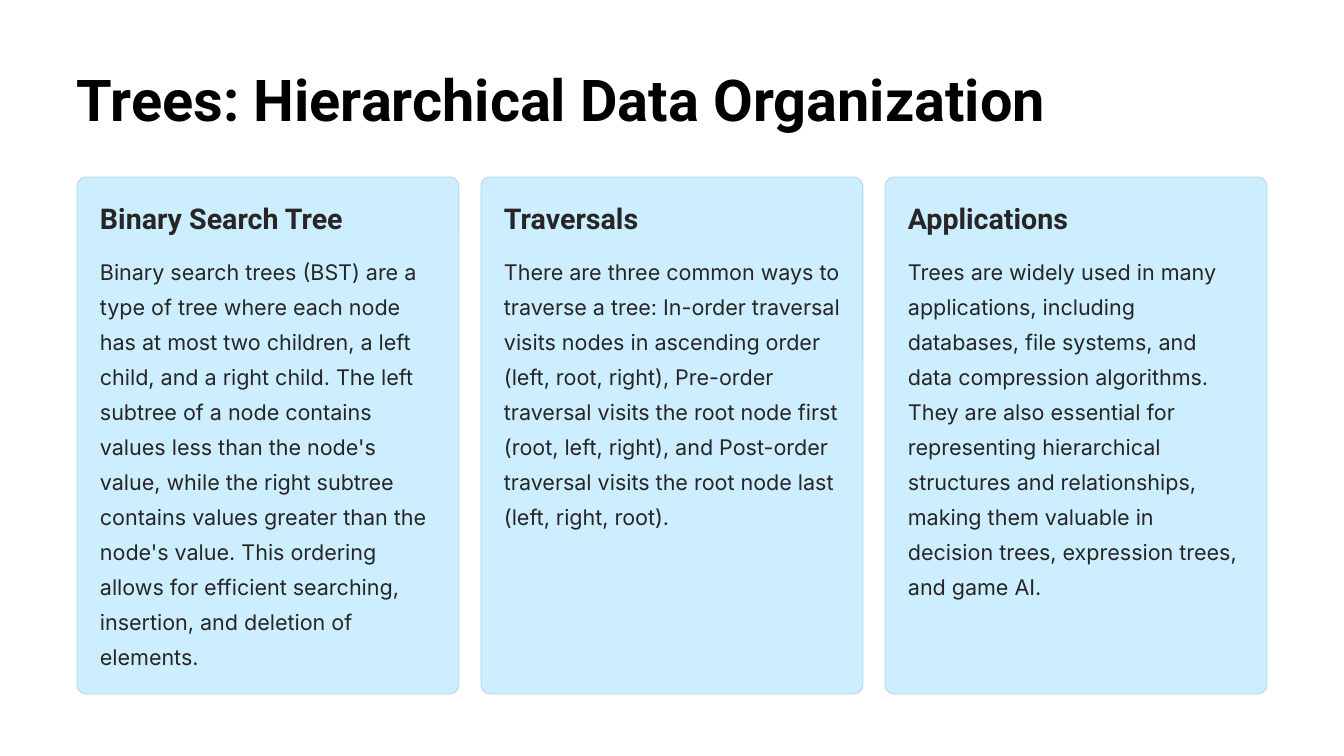
from pptx import Presentation, util as u
from pptx.dml.color import RGBColor
from pptx.enum import shapes, text

CARDS = [
    ("Binary Search Tree",
     "Binary search trees (BST) are a type of tree where each node has at most "
     "two children, a left child, and a right child. The left subtree of a node "
     "contains values less than the node's value, while the right subtree "
     "contains values greater than the node's value. This ordering allows for "
     "efficient searching, insertion, and deletion of elements."),
    ("Traversals",
     "There are three common ways to traverse a tree: In-order traversal visits "
     "nodes in ascending order (left, root, right), Pre-order traversal visits "
     "the root node first (root, left, right), and Post-order traversal visits "
     "the root node last (left, right, root)."),
    ("Applications",
     "Trees are widely used in many applications, including databases, file "
     "systems, and data compression algorithms. They are also essential for "
     "representing hierarchical structures and relationships, making them "
     "valuable in decision trees, expression trees, and game AI."),
]


def px(n):
    return u.Inches(n / 100.8)


def rgb(code):
    return RGBColor.from_string(code)


class Deck:
    head = "Roboto"
    body = "Inter"
    black = "000000"
    ink = "272525"
    paper = "FFFFFF"
    tint = "CCEEFF"
    edge = "B2D4E5"

    def __init__(self):
        self.prs = Presentation()
        self.prs.slide_width = px(1344)
        self.prs.slide_height = px(756)
        self.slide = self.prs.slides.add_slide(self.prs.slide_layouts[5])
        fill = self.slide.background.fill
        fill.solid()
        fill.fore_color.rgb = rgb(self.paper)

    def put(self, shape, words, font, size, lead, color, bold=False, wrap=False):
        frame = shape.text_frame
        frame.margin_left = frame.margin_right = 0
        frame.margin_top = frame.margin_bottom = 0
        frame.word_wrap = wrap
        frame.auto_size = text.MSO_AUTO_SIZE.NONE
        frame.vertical_anchor = text.MSO_ANCHOR.TOP
        para = frame.paragraphs[0]
        para.alignment = text.PP_ALIGN.LEFT
        para.line_spacing = u.Pt(lead)
        para.space_before = u.Pt(0)
        run = para.add_run()
        run.text = words
        run.font.name = font
        run.font.size = u.Pt(size)
        run.font.bold = bold
        run.font.color.rgb = rgb(color)

    def title(self, x, y, w, h, words):
        shape = self.slide.shapes.title
        shape.left, shape.top, shape.width, shape.height = map(px, (x, y, w, h))
        self.put(shape, words, self.head, 41.2, 51.2, self.black, bold=True)

    def label(self, x, y, w, h, words, *style, **flags):
        box = self.slide.shapes.add_textbox(*map(px, (x, y, w, h)))
        self.put(box, words, *style, **flags)

    def panel(self, x, y, w, h):
        shape = self.slide.shapes.add_shape(
            shapes.MSO_SHAPE.ROUNDED_RECTANGLE, *map(px, (x, y, w, h)))
        shape.adjustments[0] = 0.024
        shape.shadow.inherit = False
        shape.fill.solid()
        shape.fill.fore_color.rgb = rgb(self.tint)
        shape.line.color.rgb = rgb(self.edge)
        shape.line.width = u.Pt(0.6)

    def card(self, x, y, w, h, name, words):
        pad = 23
        self.panel(x, y, w, h)
        self.label(x + pad, y + pad, 289, 36, name,
                   self.head, 20.4, 25.4, self.ink, bold=True)
        self.label(x + pad, y + 73, w - 2 * pad + 1, 422, words,
                   self.body, 15.4, 25, self.ink, wrap=True)


def main():
    deck = Deck()
    left, width, gap = 77, 382, 22
    deck.title(left, 61, 998, 73, "Trees: Hierarchical Data Organization")
    for i, (name, words) in enumerate(CARDS):
        deck.card(left + i * (width + gap), 177, width, 517, name, words)
    deck.prs.save("out.pptx")


if __name__ == "__main__":
    main()
